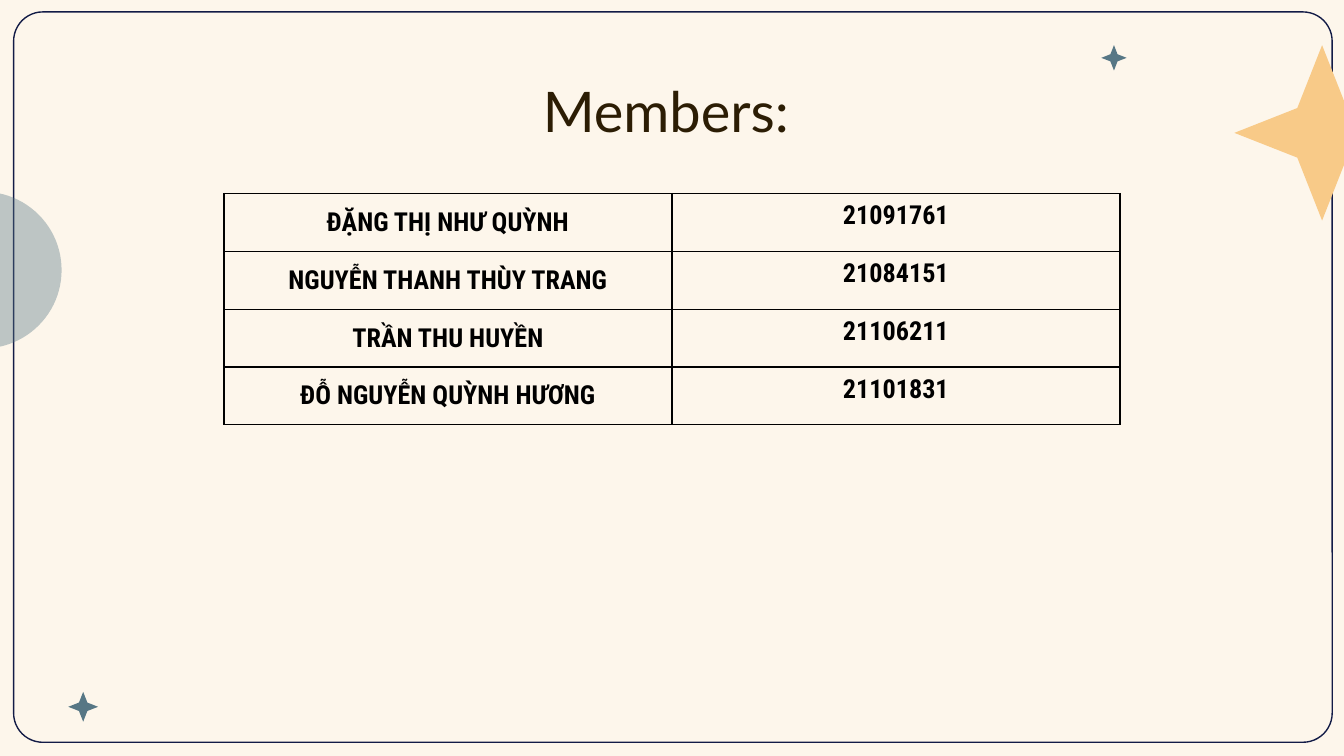
import pptx
import pptx.dml.color
import pptx.enum.shapes
import pptx.enum.text
import pptx.oxml
import pptx.oxml.ns
import pptx.util
from lxml import etree

Pt = pptx.util.Pt
SHAPES = pptx.enum.shapes.MSO_SHAPE
ANCHOR = pptx.enum.text.MSO_ANCHOR
CENTER = pptx.enum.text.PP_ALIGN.CENTER
QN = pptx.oxml.ns.qn

COLORS = {
    "background": "FDF6EB",
    "frame": "121B46",
    "slate": "577785",
    "gold": "F8CA88",
    "title": "2C1D04",
    "table": "000000",
}
MEMBERS = [
    ("ĐẶNG THỊ NHƯ QUỲNH", "21091761"),
    ("NGUYỄN THANH THÙY TRANG", "21084151"),
    ("TRẦN THU HUYỀN", "21106211"),
    ("ĐỖ NGUYỄN QUỲNH HƯƠNG", "21101831"),
]
ROW_HEIGHT = 30.9
COLUMN_WIDTH = 240
STAR_POINT = 0.2


def rgb(name):
    return pptx.dml.color.RGBColor.from_string(COLORS[name])


def style_paragraph(paragraph, font, size, color, bold=False):
    paragraph.alignment = CENTER
    paragraph.font.name = font
    paragraph.font.size = Pt(size)
    paragraph.font.bold = bold
    paragraph.font.color.rgb = rgb(color)


def add_frame(slide):
    frame = slide.shapes.add_shape(
        SHAPES.ROUNDED_RECTANGLE, Pt(7.3), Pt(6.4), Pt(706.4), Pt(391.3))
    frame.adjustments[0] = 0.04
    frame.shadow.inherit = False
    frame.fill.background()
    frame.line.color.rgb = rgb("frame")
    frame.line.width = Pt(0.75)


def add_ornament(slide, kind, left, top, size, color):
    """Add a square, borderless decoration."""
    shape = slide.shapes.add_shape(kind, Pt(left), Pt(top), Pt(size), Pt(size))
    shape.shadow.inherit = False
    shape.fill.solid()
    shape.fill.fore_color.rgb = rgb(color)
    shape.line.fill.background()
    return shape


def add_star(slide, left, top, size, color):
    star = add_ornament(slide, SHAPES.STAR_4_POINT, left, top, size, color)
    star.adjustments[0] = STAR_POINT


def set_opacity(shape, percent):
    color = shape._element.spPr.find(QN("a:solidFill"))[0]
    etree.SubElement(color, QN("a:alpha"), val=str(percent * 1000))


def set_title(slide, text):
    title = slide.shapes.title
    title.left, title.top, title.width, title.height = (
        Pt(53.2), Pt(34), Pt(607), Pt(45.5))
    frame = title.text_frame
    frame.text = text
    frame.word_wrap = True
    frame.auto_size = pptx.enum.text.MSO_AUTO_SIZE.NONE
    frame.vertical_anchor = ANCHOR.TOP
    frame.margin_left = frame.margin_right = Pt(7.2)
    frame.margin_top = frame.margin_bottom = Pt(7.2)
    paragraph = frame.paragraphs[0]
    paragraph.line_spacing = 1.0
    style_paragraph(paragraph, "Lato", 30, "title")


def set_borders(cell):
    properties = cell._tc.get_or_add_tcPr()
    for position, side in enumerate(("lnL", "lnR", "lnT", "lnB")):
        border = etree.Element(QN(f"a:{side}"), w=str(Pt(0.75)))
        fill = etree.SubElement(border, QN("a:solidFill"))
        etree.SubElement(fill, QN("a:srgbClr"), val=COLORS["table"])
        properties.insert(position, border)


def fill_cell(cell, text, anchor, margin):
    cell.text = text
    cell.vertical_anchor = anchor
    cell.margin_left = cell.margin_right = Pt(7.2)
    cell.margin_top = cell.margin_bottom = Pt(margin)
    cell.fill.background()
    set_borders(cell)
    style_paragraph(cell.text_frame.paragraphs[0], "Roboto Condensed", 14,
                    "table", bold=True)


def add_member_table(slide):
    table = slide.shapes.add_table(
        len(MEMBERS), 2, Pt(120), Pt(103.7),
        Pt(2 * COLUMN_WIDTH), Pt(len(MEMBERS) * ROW_HEIGHT)).table
    table.first_row = False
    table.horz_banding = False
    for column in table.columns:
        column.width = Pt(COLUMN_WIDTH)
    for row, (name, number) in zip(table.rows, MEMBERS):
        row.height = Pt(ROW_HEIGHT)
        fill_cell(row.cells[0], name, ANCHOR.MIDDLE, 7.2)
        fill_cell(row.cells[1], number, ANCHOR.TOP, 3.6)


def main():
    presentation = pptx.Presentation()
    presentation.slide_width = Pt(720)
    presentation.slide_height = Pt(405)
    slide = presentation.slides.add_slide(presentation.slide_layouts[5])
    slide.background.fill.solid()
    slide.background.fill.fore_color.rgb = rgb("background")

    add_frame(slide)
    circle = add_ornament(slide, SHAPES.OVAL, -51, 102.7, 84, "slate")
    set_opacity(circle, 38)
    add_star(slide, 661.3, 24.2, 94, "gold")
    add_star(slide, 36.6, 370.7, 16, "slate")
    add_star(slide, 590, 24.2, 13.6, "slate")
    set_title(slide, "Members:")
    add_member_table(slide)
    presentation.save("out.pptx")


if __name__ == "__main__":
    main()
